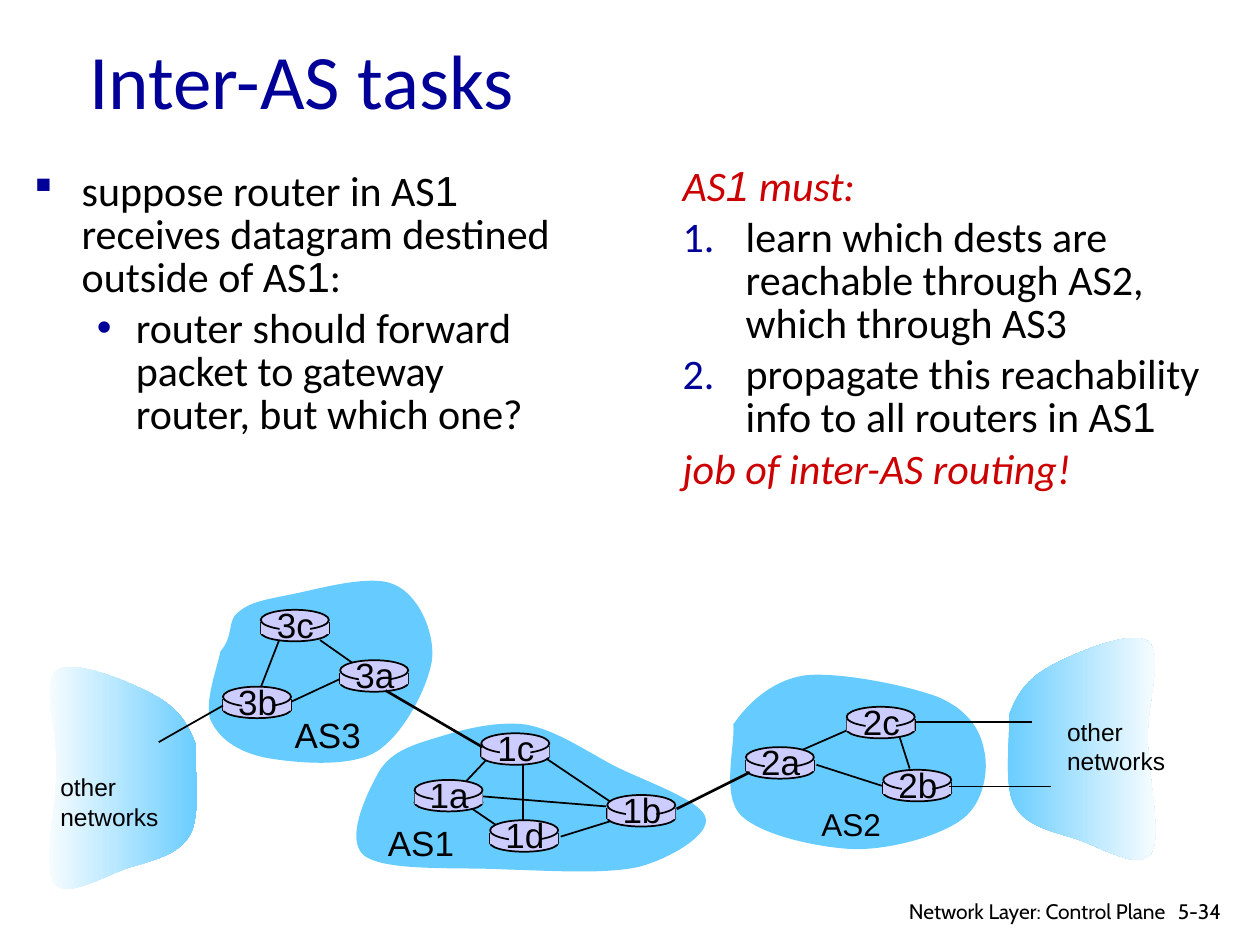
from lxml.etree import SubElement
from pptx import Presentation
from pptx.dml.color import RGBColor
from pptx.enum.shapes import MSO_CONNECTOR, MSO_SHAPE
from pptx.enum.text import MSO_ANCHOR, PP_ALIGN
from pptx.oxml.ns import qn
from pptx.util import Inches, Pt

NAVY = RGBColor(0x00, 0x00, 0x99)
RED = RGBColor(0xCC, 0x00, 0x00)
BLACK = RGBColor(0x00, 0x00, 0x00)
WHITE = RGBColor(0xFF, 0xFF, 0xFF)
SKY = RGBColor(0x66, 0xCC, 0xFF)
LILAC = RGBColor(0xCC, 0xCC, 0xFF)

ACCESS_OUTLINE = [
    (0.11, 0.77), (0.17, 0.61), (0.25, 0.49), (0.43, 0.39), (0.61, 0.29), (1.08, 0.09),
    (1.21, 0.19), (1.34, 0.28), (1.2, 0.69), (1.21, 0.97), (1.21, 1.26), (1.33, 1.75),
    (1.23, 1.88), (1.14, 2.01), (0.83, 1.82), (0.65, 1.76), (0.46, 1.7), (0.24, 1.66),
    (0.15, 1.49), (0.06, 1.33), (0.12, 0.92), (0.11, 0.77)]
AS1_OUTLINE = [
    (0.31, 0.42), (0.41, 0.26), (0.58, 0.21), (0.78, 0.15), (0.97, 0.09), (1.24, 0.02),
    (1.47, 0.05), (1.7, 0.09), (1.92, 0.24), (2.16, 0.37), (2.39, 0.49), (2.87, 0.65),
    (2.9, 0.79), (2.94, 0.92), (2.63, 1.11), (2.37, 1.18), (2.1, 1.24), (1.66, 1.21),
    (1.3, 1.2), (0.94, 1.18), (0.36, 1.22), (0.19, 1.09), (0.03, 0.96), (0.22, 0.58),
    (0.31, 0.42)]
AS2_OUTLINE = [
    (0.12, 0.45), (0.23, 0.29), (0.42, 0.1), (0.69, 0.06), (0.96, 0.03), (1.5, 0.14),
    (1.74, 0.23), (1.98, 0.33), (2.08, 0.49), (2.11, 0.65), (2.15, 0.81), (2.11, 1.07),
    (1.94, 1.2), (1.77, 1.33), (1.39, 1.44), (1.09, 1.44), (0.8, 1.43), (0.34, 1.33),
    (0.18, 1.17), (0.02, 1.01), (0.14, 0.6), (0.12, 0.45)]
AS3_OUTLINE = [
    (0.15, 0.67), (0.26, 0.54), (0.2, 0.43), (0.29, 0.36), (0.38, 0.28), (0.5, 0.26),
    (0.7, 0.22), (0.91, 0.18), (1.34, 0.05), (1.53, 0.14), (1.72, 0.22), (1.85, 0.51),
    (1.83, 0.73), (1.8, 0.95), (1.6, 1.34), (1.38, 1.47), (1.16, 1.6), (0.7, 1.55),
    (0.49, 1.51), (0.27, 1.46), (0.13, 1.35), (0.07, 1.21), (0.02, 1.07), (0.13, 0.78),
    (0.15, 0.67)]


def add_run(paragraph, text, *, size, font="Arial", color=BLACK, italic=False):
    run = paragraph.add_run()
    run.text = text
    run.font.size = Pt(size)
    run.font.name = font
    run.font.color.rgb = color
    run.font.italic = italic


def add_text(shapes, lines, box, *, size, font="Arial", align=PP_ALIGN.LEFT, wrap=False):
    frame = shapes.add_textbox(*map(Inches, box)).text_frame
    frame.word_wrap = wrap
    for index, line in enumerate(lines):
        paragraph = frame.paragraphs[0] if index == 0 else frame.add_paragraph()
        paragraph.alignment = align
        add_run(paragraph, line, size=size, font=font)


def add_line(shapes, start_x, start_y, end_x, end_y, width=1):
    line = shapes.add_connector(
        MSO_CONNECTOR.STRAIGHT, *map(Inches, (start_x, start_y, end_x, end_y)))
    line.line.color.rgb = BLACK
    line.line.width = Pt(width)
    SubElement(line._element.spPr, qn("a:effectLst"))


def add_plain_shape(shapes, kind, left, top, width, height, outlined=False):
    shape = shapes.add_shape(kind, *map(Inches, (left, top, width, height)))
    shape.shadow.inherit = False
    shape.fill.solid()
    shape.fill.fore_color.rgb = LILAC
    if outlined:
        shape.line.color.rgb = BLACK
        shape.line.width = Pt(1)
    else:
        shape.line.fill.background()


def bend_segments(shape):
    segments = list(shape._element.iter(qn("a:lnTo")))
    for first in range(0, len(segments), 3):
        curve = segments[first].makeelement(qn("a:cubicBezTo"))
        segments[first].addprevious(curve)
        for segment in segments[first:first + 3]:
            curve.append(segment[0])
            segment.getparent().remove(segment)


def add_cloud(shapes, left, top, outline):
    points = [(Inches(left + x), Inches(top + y)) for x, y in outline]
    builder = shapes.build_freeform(*points[0])
    builder.add_line_segments(points[1:], close=True)
    cloud = builder.convert_to_shape()
    bend_segments(cloud)
    cloud.shadow.inherit = False
    cloud.line.fill.background()
    cloud.fill.solid()
    cloud.fill.fore_color.rgb = SKY
    return cloud


def add_router(shapes, left, top, name):
    group = shapes.add_group_shape().shapes
    width = 0.54
    add_plain_shape(group, MSO_SHAPE.OVAL, left, top + 0.11, width, 0.14, True)
    for side in (left, left + width):
        add_line(group, side, top + 0.1, side, top + 0.19)
    add_plain_shape(group, MSO_SHAPE.RECTANGLE, left, top + 0.1, width, 0.09)
    add_plain_shape(group, MSO_SHAPE.OVAL, left, top, width, 0.16, True)
    add_plain_shape(group, MSO_SHAPE.RECTANGLE, left + 0.15, top + 0.02, 0.24, 0.21)
    add_text(group, [name], (left + 0.02, top - 0.1, 0.51, 0.43), size=20,
             align=PP_ALIGN.CENTER)


def add_autonomous_system(slide, left, top, outline, name, label, links, routers, size=20):
    shapes = slide.shapes
    add_cloud(shapes, left, top, outline)
    add_text(shapes, [name], (left + label[0], top + label[1], 0.73, 0.43), size=size)
    for x1, y1, x2, y2 in links:
        add_line(shapes, left + x1, top + y1, left + x2, top + y2)
    for router, (x, y) in routers.items():
        add_router(shapes, left + x, top + y, router)


def add_other_networks(slide, left, top, label, mirrored=False):
    outline, colors = ACCESS_OUTLINE, (SKY, WHITE)
    if mirrored:
        outline, colors = [(1.34 - x, y) for x, y in outline], (WHITE, SKY)
    cloud = add_cloud(slide.shapes, left, top, outline)
    cloud.fill.gradient()
    cloud.fill.gradient_angle = 0
    for stop, color in zip(cloud.fill.gradient_stops, colors):
        stop.color.rgb = color
    add_text(slide.shapes, ["other", "networks"],
             (left + label[0], top + label[1], 0.98, 0.57), size=14)


def add_title(slide, left, top, width, height):
    title = slide.shapes.title
    title.left, title.top, title.width, title.height = map(Inches, (left, top, width, height))
    title.text_frame.vertical_anchor = MSO_ANCHOR.MIDDLE
    paragraph = title.text_frame.paragraphs[0]
    paragraph.alignment = PP_ALIGN.LEFT
    add_run(paragraph, "Inter-AS tasks", size=44, font="Calibri", color=NAVY)


def add_body(slide, box, items):
    frame = slide.shapes.add_textbox(*map(Inches, box)).text_frame
    frame.word_wrap = True
    for index, (parts, margin, hanging, bullet, level) in enumerate(items):
        paragraph = frame.paragraphs[0] if index == 0 else frame.add_paragraph()
        paragraph.level = level
        paragraph.line_spacing = 0.85
        paragraph.space_before = Pt(4.8)
        properties = paragraph._p.get_or_add_pPr()
        properties.set("marL", str(Inches(margin)))
        properties.set("indent", str(-Inches(hanging)))
        if bullet:
            SubElement(SubElement(properties, qn("a:buClr")), qn("a:srgbClr"), val=str(NAVY))
            if bullet == "number":
                SubElement(properties, qn("a:buAutoNum"), type="arabicPeriod")
            else:
                SubElement(properties, qn("a:buFont"),
                           typeface="Wingdings" if bullet == "§" else "Arial")
                SubElement(properties, qn("a:buChar"), char=bullet)
        for part in parts:
            add_run(paragraph, part, size=24, font="Arial" if part == "1" else "Calibri",
                    color=BLACK if bullet else RED, italic=not bullet)


def add_footer(slide, left, top):
    add_text(slide.shapes, ["5-34"], (left + 2.28, top, 0.6, 0.3), size=12, font="Cabin",
             wrap=True)
    add_text(slide.shapes, ["Network Layer: Control Plane"], (left, top, 2.38, 0.26), size=12,
             font="Cabin", align=PP_ALIGN.RIGHT, wrap=True)


def main():
    presentation = Presentation()
    presentation.slide_width, presentation.slide_height = Inches(10), Inches(7.5)
    slide = presentation.slides.add_slide(presentation.slide_layouts[5])
    add_title(slide, 0.61, 0, 8.5, 1.25)
    add_body(slide, (0.17, 1.32, 4.4, 3.19), [
        (["suppose router in AS", "1", " receives datagram destined outside of AS", "1", ":"],
         0.38, 0.38, "§", 0),
        (["router should forward packet to gateway router, but which one?"],
         0.81, 0.31, "•", 1)])
    add_body(slide, (5.32, 1.28, 4.64, 5.08), [
        (["AS", "1", " must:"], 0.5, 0.5, None, 0),
        (["learn which dests are reachable through AS2, which through AS3"],
         0.5, 0.5, "number", 0),
        (["propagate this reachability info to all routers in AS", "1"], 0.5, 0.5, "number", 0),
        (["job of inter-AS routing!"], 0.5, 0.5, None, 0)])
    add_other_networks(slide, 7.9, 4.9, (0.47, 0.74))
    add_other_networks(slide, 0.32, 5.13, (0.06, 0.95), mirrored=True)
    add_autonomous_system(
        slide, 1.6, 4.5, AS3_OUTLINE, "AS3", (0.64, 1.11),
        [(0.71, 1.07, 1.14, 0.87), (1.21, 0.77, 0.94, 0.58), (0.62, 0.57, 0.46, 0.98)],
        {"3b": (0.17, 0.95), "3c": (0.47, 0.34), "3a": (1.1, 0.74)})
    add_autonomous_system(
        slide, 2.7, 5.7, AS1_OUTLINE, "AS1", (0.28, 0.77),
        [(1.17, 0.32, 1, 0.5), (1.45, 0.36, 1.45, 0.86), (1.62, 0.31, 2.17, 0.68),
         (2.17, 0.81, 1.75, 0.94), (2.11, 0.7, 1.12, 0.62), (1.02, 0.7, 1.24, 0.85)],
        {"1c": (1.12, 0.12), "1a": (0.59, 0.49), "1d": (1.19, 0.81), "1b": (2.12, 0.61)})
    add_autonomous_system(
        slide, 5.7, 5.3, AS2_OUTLINE, "AS2", (0.72, 1.04),
        [(0.58, 0.69, 1.06, 0.48), (0.78, 0.77, 1.31, 0.94), (1.44, 0.55, 1.52, 0.8)],
        {"2a": (0.22, 0.63), "2c": (1.02, 0.31), "2b": (1.31, 0.81)}, size=18)
    for link in [(7.26, 5.73, 8.19, 5.73, 0.75), (7.53, 6.24, 8.34, 6.24, 0.75),
                 (1.77, 5.6, 1.26, 5.89, 1), (5.37, 6.42, 5.95, 6.13, 1.5),
                 (3.06, 5.48, 3.83, 5.93, 1.5)]:
        add_line(slide.shapes, *link)
    add_footer(slide, 6.97, 7.08)
    presentation.save("out.pptx")


if __name__ == "__main__":
    main()
